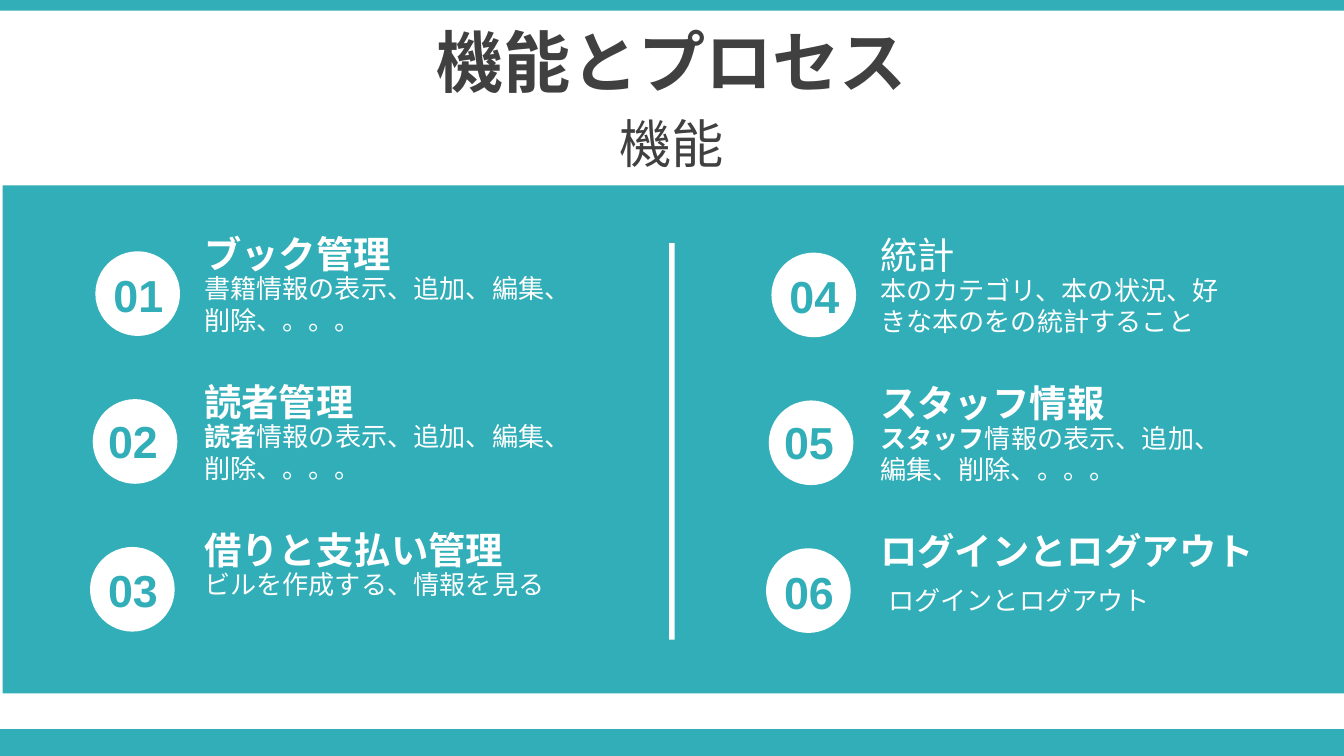
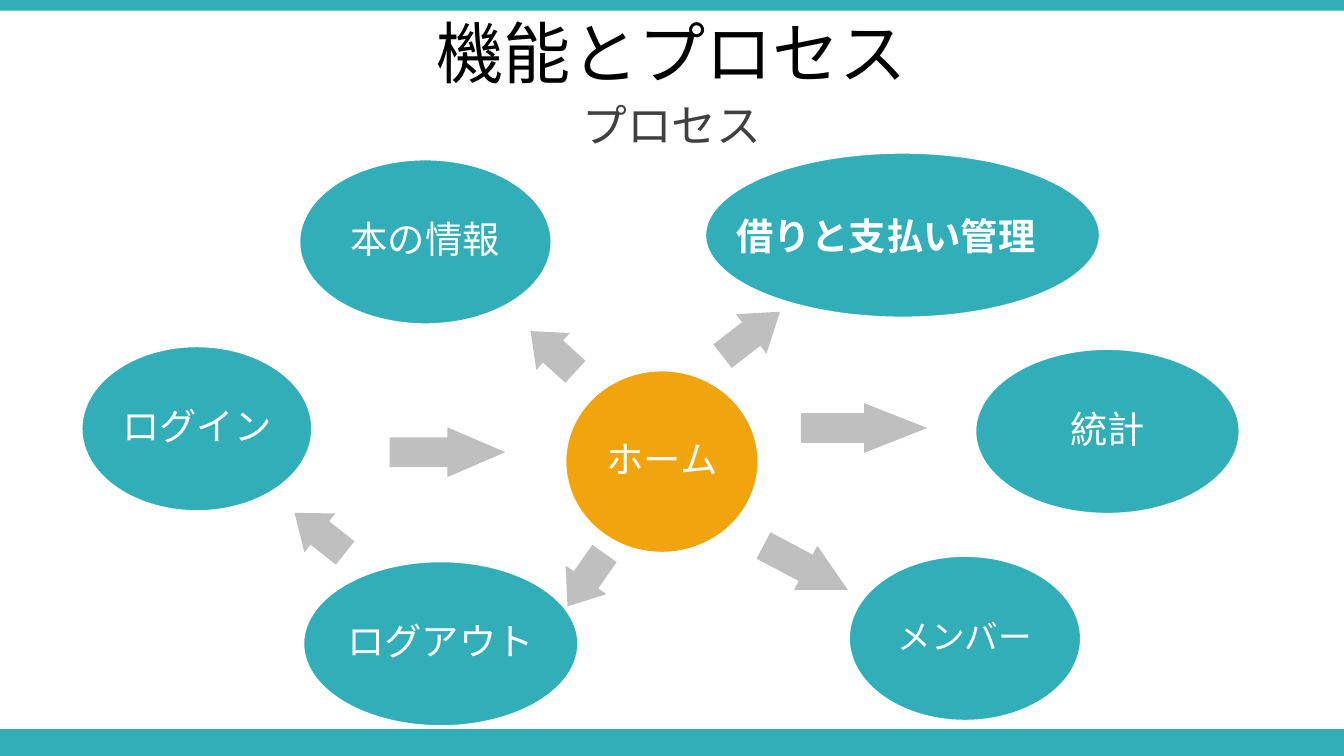
import math

import pptx
import pptx.util
import pptx.oxml.ns
from lxml import etree
from pptx.dml.color import RGBColor
from pptx.enum.shapes import MSO_SHAPE
from pptx.enum.text import MSO_ANCHOR, MSO_AUTO_SIZE, PP_ALIGN
from pptx.util import Inches

TEAL = RGBColor(0x32, 0xAE, 0xB8)
ORANGE = RGBColor(0xF2, 0xA4, 0x0D)
GRAY = RGBColor(0xBF, 0xBF, 0xBF)
DARK = RGBColor(0x40, 0x40, 0x40)
BLACK = RGBColor(0, 0, 0)
WHITE = RGBColor(0xFF, 0xFF, 0xFF)
FONT = "Noto Sans CJK JP"
NUMBER_FONT = "Arial"

SLIDE_W = 10
SLIDE_H = SLIDE_W * 9 / 16
FOOTER_H = 0.2
TITLE = "機能とプロセス"

ITEMS = [
    ("ブック管理", True, "", "書籍情報の表示、追加、編集、削除、。。。"),
    ("読者管理", True, "読者", "情報の表示、追加、編集、削除、。。。"),
    ("借りと支払い管理", True, "", "ビルを作成する、情報を見る"),
    ("統計", False, "", "本のカテゴリ、本の状況、好きな本のをの統計すること"),
    ("スタッフ情報", True, "スタッフ", "情報の表示、追加、編集、削除、。。。"),
    ("ログインとログアウト", True, "", "ログインとログアウト"),
]
ROWS = 3
ROW_PITCH, COLUMN_PITCH = 1.1, 5.03
NUMBER_SHIFTS = ((-0.03, 0.07), (-0.05, 0.06), (-0.03, 0.07))

NODES = [
    ("ログイン", (0.6, 2.57, 1.73, 1.24), TEAL, 20),
    ("本の情報", (2.22, 1.18, 1.89, 1.24), TEAL, 20),
    ("借りと支払い管理", (5.24, 1.13, 2.95, 1.24), TEAL, 20),
    ("統計", (7.25, 2.59, 1.98, 1.24), TEAL, 20),
    ("メンバー", (6.31, 4.13, 1.74, 1.24), TEAL, 18),
    ("ログアウト", (2.25, 4.17, 2.06, 1.24), TEAL, 20),
    ("ホーム", (4.2, 2.75, 1.45, 1.37), ORANGE, 20),
]
BOLD_NODE = "借りと支払い管理"

ARROW_H = 0.37
ARROWS = [
    (3.89, 2.43, 0.45, 222.2),
    (5.32, 2.3, 0.54, 322.3),
    (2.14, 3.78, 0.48, 218.4),
    (2.9, 3.18, 0.86, 0),
    (5.64, 4.04, 0.71, 27.8),
    (5.96, 3, 0.94, 0),
    (4.12, 4.13, 0.48, 125),
]


def style_run(r, size, color, bold=False, font=FONT):
    r.font.size = pptx.util.Pt(size)
    r.font.bold = bold
    r.font.color.rgb = color
    r.font.name = font
    ea = etree.SubElement(r.font._element, pptx.oxml.ns.qn("a:ea"))
    ea.set("typeface", FONT)


def add_block(s, kind, box, fill, line=None):
    sp = s.shapes.add_shape(kind, *map(Inches, box))
    sp.shadow.inherit = False
    sp.fill.solid()
    sp.fill.fore_color.rgb = fill
    if line is None:
        sp.line.fill.background()
    else:
        sp.line.color.rgb = line
        sp.line.width = pptx.util.Pt(2)
    return sp


def add_text(s, box, text, size, color, bold=False, font=FONT,
             align=PP_ALIGN.LEFT, anchor=MSO_ANCHOR.TOP):
    tf = s.shapes.add_textbox(*map(Inches, box)).text_frame
    tf.word_wrap = True
    tf.vertical_anchor = anchor
    tf.text = text
    p = tf.paragraphs[0]
    p.alignment = align
    for r in p.runs:
        style_run(r, size, color, bold, font)
    return tf


def add_bands(s):
    add_block(s, MSO_SHAPE.RECTANGLE, (0, SLIDE_H - FOOTER_H, SLIDE_W, FOOTER_H), TEAL)
    add_block(s, MSO_SHAPE.RECTANGLE, (0, 0, SLIDE_W, 0.08), TEAL)


def add_heading(s, title_box, title_color, bold, subtitle, subtitle_box, size):
    for box, text, pt, color, heavy in (
        (title_box, TITLE, 36, title_color, bold),
        (subtitle_box, subtitle, size, DARK, False),
    ):
        add_text(s, box, text, pt, color, heavy,
                 align=PP_ALIGN.CENTER, anchor=MSO_ANCHOR.MIDDLE)


def add_item(s, x, y, index, item):
    title, bold, lead, body = item
    row = index % ROWS
    last = index == len(ITEMS) - 1
    circle_x, circle_y = x - 0.71 - 0.02 * row, y + 0.2
    shift_x, shift_y = NUMBER_SHIFTS[row]
    add_block(s, MSO_SHAPE.OVAL, (circle_x, circle_y, 0.63, 0.63), WHITE)
    add_text(s, (circle_x + shift_x, circle_y + shift_y, 0.7, 0.5),
             f"{index + 1:02d}", 24, TEAL, True, NUMBER_FONT, PP_ALIGN.CENTER)
    add_text(s, (x, y, 3.03 if last else 2.91, 0.44), title, 20, WHITE, bold)
    body_box = (x + 0.06, y + 0.42, 2.91, 0.34) if last else (x, y + 0.31, 2.91, 0.57)
    tf = add_text(s, body_box, lead or body, 14, WHITE, bool(lead))
    tf.auto_size = MSO_AUTO_SIZE.SHAPE_TO_FIT_TEXT
    if lead:
        r = tf.paragraphs[0].add_run()
        r.text = body
        style_run(r, 14, WHITE)


def add_feature_panel(s, box):
    x, y, w, h = box
    add_block(s, MSO_SHAPE.RECTANGLE, box, TEAL)
    add_block(s, MSO_SHAPE.RECTANGLE, (x + 4.96, y + 0.43, 0.04, 2.95), WHITE)
    for i, item in enumerate(ITEMS):
        column, row = divmod(i, ROWS)
        add_item(s, x + 1.4 + column * COLUMN_PITCH,
                 y + 0.29 + row * ROW_PITCH + column * 0.01, i, item)


def add_node(s, text, box, fill, size):
    sp = add_block(s, MSO_SHAPE.OVAL, box, fill, WHITE)
    bold = text == BOLD_NODE
    tf = sp.text_frame
    tf.word_wrap = True
    tf.vertical_anchor = MSO_ANCHOR.MIDDLE
    oval_inset = box[2] * (1 - math.sqrt(0.5)) / 2
    tf.margin_left = tf.margin_right = Inches(0.24 - oval_inset)
    tf.margin_top = tf.margin_bottom = 0
    tf.text = text
    p = tf.paragraphs[0]
    p.alignment = PP_ALIGN.LEFT if bold else PP_ALIGN.CENTER
    p.line_spacing = 1.0 if bold else 0.9
    style_run(p.runs[0], size, WHITE, bold)


def add_arrow(s, x, y, length, angle):
    sp = add_block(s, MSO_SHAPE.RIGHT_ARROW, (x, y, length, ARROW_H), GRAY)
    sp.adjustments[0] = 0.6
    sp.adjustments[1] = length / 2 / ARROW_H
    sp.rotation = angle


def build_features(prs):
    s = prs.slides.add_slide(prs.slide_layouts[6])
    add_bands(s)
    add_heading(s, (0, 0.14, SLIDE_W, 0.63), DARK, True,
                "機能", (0, 0.77, SLIDE_W, 0.58), 28)
    add_feature_panel(s, (0.02, 1.38, SLIDE_W - 0.02, 3.78))


def build_process(prs):
    s = prs.slides.add_slide(prs.slide_layouts[6])
    add_bands(s)
    for node in NODES:
        add_node(s, *node)
    for arrow in ARROWS:
        add_arrow(s, *arrow)
    add_heading(s, (0, 0.03, SLIDE_W, 0.71), BLACK, False,
                "プロセス", (0, 0.77, SLIDE_W, 0.31), 24)


def main():
    prs = pptx.Presentation()
    prs.slide_width = Inches(SLIDE_W)
    prs.slide_height = Inches(SLIDE_H)
    build_features(prs)
    build_process(prs)
    prs.save("out.pptx")


if __name__ == "__main__":
    main()
